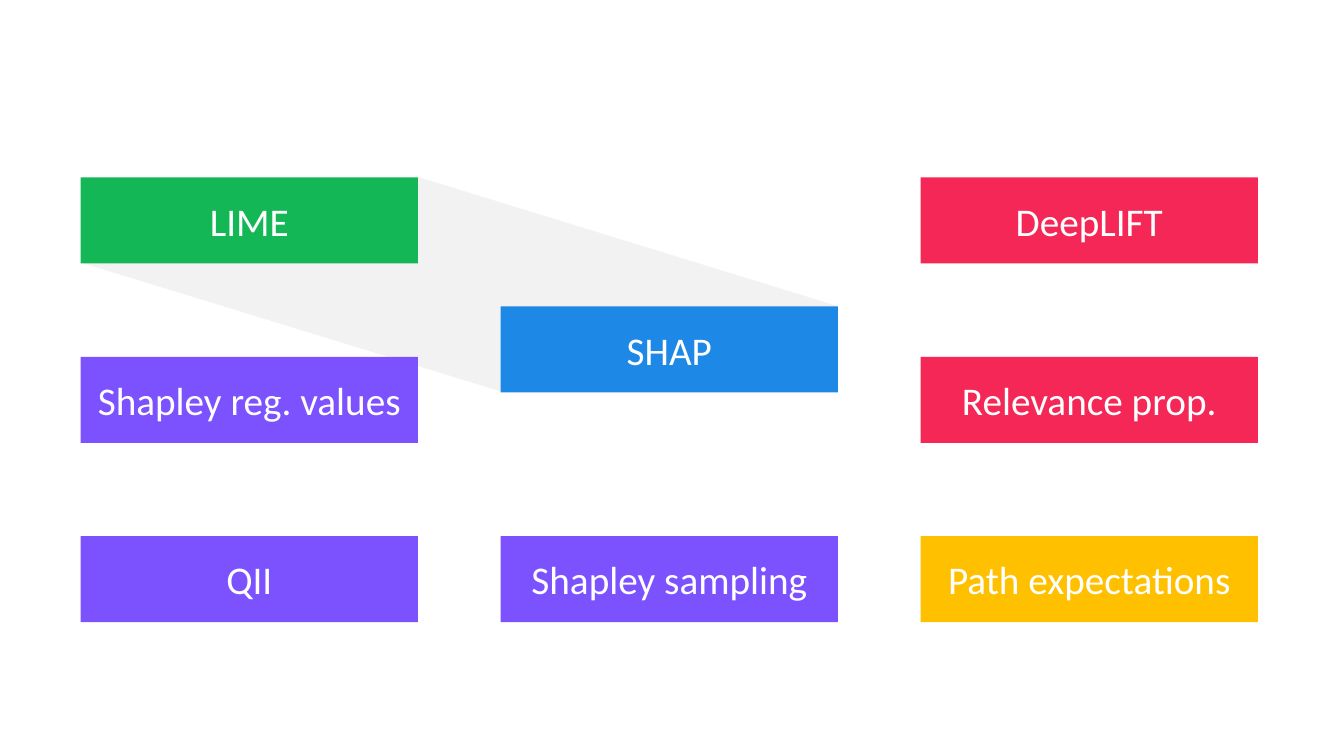
from dataclasses import dataclass

import pptx
import pptx.dml.color
import pptx.enum.shapes
import pptx.enum.text
import pptx.oxml.ns
import pptx.util
from lxml import etree
from pptx.util import Inches


@dataclass(frozen=True)
class Theme:
    font: str = "Calibri"
    label_size: float = 21
    band_line_width: float = 5
    label: str = "FFFFFF"
    band: str = "F2F2F2"
    lime: str = "13B755"
    shapley: str = "7C52FF"
    deep: str = "F52757"
    expectations: str = "FFC000"
    shap: str = "1D88E5"


THEME = Theme()
BOX_WIDTH, BOX_HEIGHT = 2.51, 0.64
COLUMNS = [0.6 + 6.25 * i / 2 for i in range(3)]
ROWS = [1.32 + 2.67 * i / 2 for i in range(3)]
SHAP_TOP = 2.28

# label, column, top, colour
METHODS = [
    ("LIME", 0, ROWS[0], THEME.lime),
    ("Shapley reg. values", 0, ROWS[1], THEME.shapley),
    ("QII", 0, ROWS[2], THEME.shapley),
    ("Path expectations", 2, ROWS[2], THEME.expectations),
    ("DeepLIFT", 2, ROWS[0], THEME.deep),
    ("Relevance prop.", 2, ROWS[1], THEME.deep),
    ("Shapley sampling", 1, ROWS[2], THEME.shapley),
    ("SHAP", 1, SHAP_TOP, THEME.shap),
]

BAND_HALVES = [(1.85, 0.57), (3.99, 0.6)]
BAND_LINES = [
    ((0.61, 1.92), (3.74, 2.88)),
    ((3.1, 1.35), (6.22, 2.31)),
    ((2.58, 1.82), (5.17, 2.72)),
]


def rgb(colour):
    return pptx.dml.color.RGBColor.from_string(colour)


def add_filled_shape(slide, kind, left, top, width, height, colour):
    shape = slide.shapes.add_shape(
        kind, Inches(left), Inches(top), Inches(width), Inches(height))
    shape.shadow.inherit = False
    shape.fill.solid()
    shape.fill.fore_color.rgb = rgb(colour)
    shape.line.fill.background()
    return shape


def add_band_half(slide, left, top):
    half = add_filled_shape(
        slide, pptx.enum.shapes.MSO_SHAPE.PARALLELOGRAM,
        left, top, 0.98, 3.06, THEME.band)
    half.adjustments[0] = 0.34
    half.rotation = 281.3


def add_band_line(slide, start, end):
    line = slide.shapes.add_connector(
        pptx.enum.shapes.MSO_CONNECTOR.STRAIGHT,
        *map(Inches, start), *map(Inches, end))
    line.line.color.rgb = rgb(THEME.band)
    line.line.width = pptx.util.Pt(THEME.band_line_width)
    properties = line.element.find(pptx.oxml.ns.qn("p:spPr"))
    etree.SubElement(properties, pptx.oxml.ns.qn("a:effectLst"))


def add_method_box(slide, label, column, top, colour):
    box = add_filled_shape(
        slide, pptx.enum.shapes.MSO_SHAPE.RECTANGLE,
        COLUMNS[column], top, BOX_WIDTH, BOX_HEIGHT, colour)
    frame = box.text_frame
    frame.vertical_anchor = pptx.enum.text.MSO_ANCHOR.MIDDLE
    frame.word_wrap = True
    paragraph = frame.paragraphs[0]
    paragraph.text = label
    paragraph.alignment = pptx.enum.text.PP_ALIGN.CENTER
    paragraph.font.name = THEME.font
    paragraph.font.size = pptx.util.Pt(THEME.label_size)
    paragraph.font.color.rgb = rgb(THEME.label)


def add_band(slide):
    """Sweep a pale band from the LIME box to the SHAP box."""
    for left, top in BAND_HALVES:
        add_band_half(slide, left, top)
    for start, end in BAND_LINES:
        add_band_line(slide, start, end)


def main():
    deck = pptx.Presentation()
    deck.slide_width = Inches(10)
    deck.slide_height = Inches(10 * 9 / 16)
    slide = deck.slides.add_slide(deck.slide_layouts[6])
    add_band(slide)
    for method in METHODS:
        add_method_box(slide, *method)
    deck.save("out.pptx")


if __name__ == "__main__":
    main()
